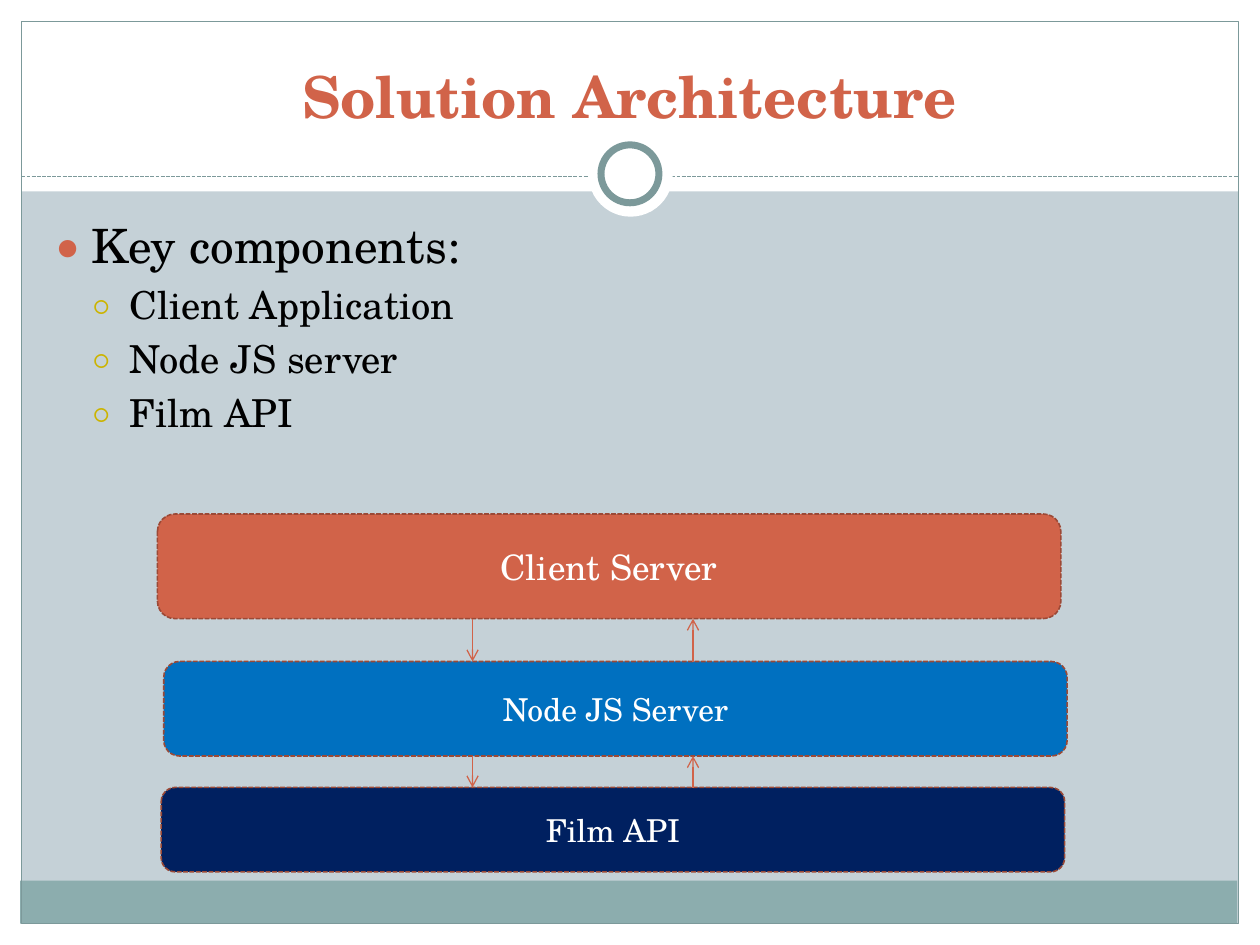
"""Build the Solution Architecture slide with its three server layers."""
from dataclasses import dataclass
from typing import Optional

from lxml.etree import SubElement
from pptx import Presentation
from pptx.dml.color import RGBColor
from pptx.enum.dml import MSO_LINE
from pptx.enum.shapes import MSO_CONNECTOR, MSO_SHAPE
from pptx.enum.text import MSO_ANCHOR, PP_ALIGN
from pptx.oxml.ns import qn
from pptx.util import Inches, Pt


@dataclass(frozen=True)
class Theme:
    font: str = "TeX Gyre Schola"
    background: str = "C5D1D7"
    white: str = "FFFFFF"
    black: str = "000000"
    band: str = "8CADAE"
    frame: str = "7C999A"
    accent: str = "D16349"
    layer_edge: str = "9B4936"
    sub_bullet: str = "CCB400"
    node_blue: str = "0070C0"
    api_navy: str = "002060"
    title_size: float = 33
    lead_size: float = 27
    item_size: float = 22
    client_size: float = 20
    layer_size: float = 18
    thin: float = 0.75
    layer_line: float = 0.9
    ring_line: float = 4


@dataclass(frozen=True)
class Box:
    left: float
    top: float
    width: float
    height: float

    @property
    def bottom(self) -> float:
        return self.top + self.height

    def lengths(self) -> tuple:
        return tuple(Inches(v) for v in (self.left, self.top, self.width, self.height))


@dataclass(frozen=True)
class Layer:
    label: str
    box: Box
    fill: str
    size: float


@dataclass(frozen=True)
class Bullet:
    char: str
    color: str
    percent: int
    indent: float


THEME = Theme()
HANGING = 0.3
MARGINS = (Box(0, 7.33, 10, 0.17), Box(0, 0, 10, 1.52),
           Box(0, 0, 0.17, 7.5), Box(9.83, 0, 0.17, 7.5))
LEAD = Bullet("●", THEME.accent, 85, HANGING)
SUB = Bullet("○", THEME.sub_bullet, 70, 2 * HANGING)
COMPONENTS = ("Client Application", "Node JS server", "Film API")
LAYERS = (
    Layer("Client Server", Box(1.25, 4.08, 7.17, 0.83), THEME.accent, THEME.client_size),
    Layer("Node JS Server", Box(1.3, 5.25, 7.17, 0.75), THEME.node_blue, THEME.layer_size),
    Layer("Film API", Box(1.28, 6.25, 7.17, 0.67), THEME.api_navy, THEME.layer_size),
)
REQUEST_X, RESPONSE_X = 3.75, 5.5


def rgb(color: str) -> RGBColor:
    return RGBColor.from_string(color)


def add_box(slide, box: Box, kind=MSO_SHAPE.RECTANGLE, fill: Optional[str] = None,
            line: Optional[str] = None, width: float = THEME.thin, dash=None):
    shape = slide.shapes.add_shape(kind, *box.lengths())
    shape.shadow.inherit = False
    if fill:
        shape.fill.solid()
        shape.fill.fore_color.rgb = rgb(fill)
    else:
        shape.fill.background()
    if line:
        shape.line.color.rgb = rgb(line)
        shape.line.width = Pt(width)
        shape.line.dash_style = dash
    else:
        shape.line.fill.background()
    return shape


def add_line(slide, start: tuple, end: tuple, color: str, dash=None, arrow: bool = False) -> None:
    points = (Inches(v) for v in (*start, *end))
    connector = slide.shapes.add_connector(MSO_CONNECTOR.STRAIGHT, *points)
    connector.line.color.rgb = rgb(color)
    connector.line.width = Pt(THEME.thin)
    connector.line.dash_style = dash
    if arrow:
        SubElement(connector.line._get_or_add_ln(), qn("a:tailEnd"), type="arrow")
    SubElement(connector._element.spPr, qn("a:effectLst"))


def add_bullet(paragraph, bullet: Bullet) -> None:
    properties = paragraph._p.get_or_add_pPr()
    properties.set("marL", str(Inches(bullet.indent)))
    properties.set("indent", str(Inches(-HANGING)))
    color = SubElement(properties, qn("a:buClr"))
    SubElement(color, qn("a:srgbClr"), val=bullet.color)
    SubElement(properties, qn("a:buSzPct"), val=str(bullet.percent * 1000))
    SubElement(properties, qn("a:buFont"), typeface=THEME.font)
    SubElement(properties, qn("a:buChar"), char=bullet.char)


def write(paragraph, text: str, *, size: float, color: str, bold: bool = False,
          align=PP_ALIGN.CENTER, bullet: Optional[Bullet] = None) -> None:
    paragraph.alignment = align
    if bullet:
        paragraph.space_before = Pt(size * 0.2)
        paragraph.level = 0 if bullet is LEAD else 1
        add_bullet(paragraph, bullet)
    run = paragraph.add_run()
    run.text = text
    run.font.name = THEME.font
    run.font.size = Pt(size)
    run.font.bold = bold
    run.font.color.rgb = rgb(color)


def add_frame_text(slide, box: Box, anchor=MSO_ANCHOR.TOP):
    frame = slide.shapes.add_textbox(*box.lengths()).text_frame
    frame.word_wrap = True
    frame.vertical_anchor = anchor
    return frame


def draw_backdrop(slide) -> None:
    slide.background.fill.solid()
    slide.background.fill.fore_color.rgb = rgb(THEME.background)
    for margin in MARGINS:
        add_box(slide, margin, fill=THEME.white)
    add_box(slide, Box(0.16, 6.99, 9.66, 0.34), fill=THEME.band)
    add_box(slide, Box(0.17, 0.17, 9.66, 7.16), line=THEME.frame)
    add_line(slide, (0.17, 1.4), (9.83, 1.4), THEME.frame, dash=MSO_LINE.SQUARE_DOT)
    add_box(slide, Box(4.67, 1.05, 0.67, 0.67), MSO_SHAPE.OVAL, fill=THEME.white)
    add_box(slide, Box(4.77, 1.15, 0.46, 0.46), MSO_SHAPE.OVAL, fill=THEME.white,
            line=THEME.frame, width=THEME.ring_line)


def draw_text(slide) -> None:
    title = add_frame_text(slide, Box(0.33, 0.25, 9.33, 0.83), MSO_ANCHOR.BOTTOM)
    write(title.paragraphs[0], "Solution Architecture", size=THEME.title_size,
          color=THEME.accent, bold=True)
    body = add_frame_text(slide, Box(0.33, 1.67, 9.3, 5))
    write(body.paragraphs[0], "Key components:", size=THEME.lead_size, color=THEME.black,
          align=PP_ALIGN.LEFT, bullet=LEAD)
    for component in COMPONENTS:
        write(body.add_paragraph(), component, size=THEME.item_size, color=THEME.black,
              align=PP_ALIGN.LEFT, bullet=SUB)


def draw_layers(slide) -> None:
    for layer in LAYERS:
        shape = add_box(slide, layer.box, MSO_SHAPE.ROUNDED_RECTANGLE, fill=layer.fill,
                        line=THEME.layer_edge, width=THEME.layer_line,
                        dash=MSO_LINE.SQUARE_DOT)
        shape.text_frame.vertical_anchor = MSO_ANCHOR.MIDDLE
        write(shape.text_frame.paragraphs[0], layer.label, size=layer.size, color=THEME.white)
    for upper, lower in zip(LAYERS, LAYERS[1:]):
        top, bottom = upper.box.bottom, lower.box.top
        add_line(slide, (REQUEST_X, top), (REQUEST_X, bottom), THEME.accent, arrow=True)
        add_line(slide, (RESPONSE_X, bottom), (RESPONSE_X, top), THEME.accent, arrow=True)


def main() -> None:
    deck = Presentation()
    deck.slide_width, deck.slide_height = Inches(10), Inches(7.5)
    slide = deck.slides.add_slide(deck.slide_layouts[6])
    draw_backdrop(slide)
    draw_text(slide)
    draw_layers(slide)
    deck.save("out.pptx")


if __name__ == "__main__":
    main()
